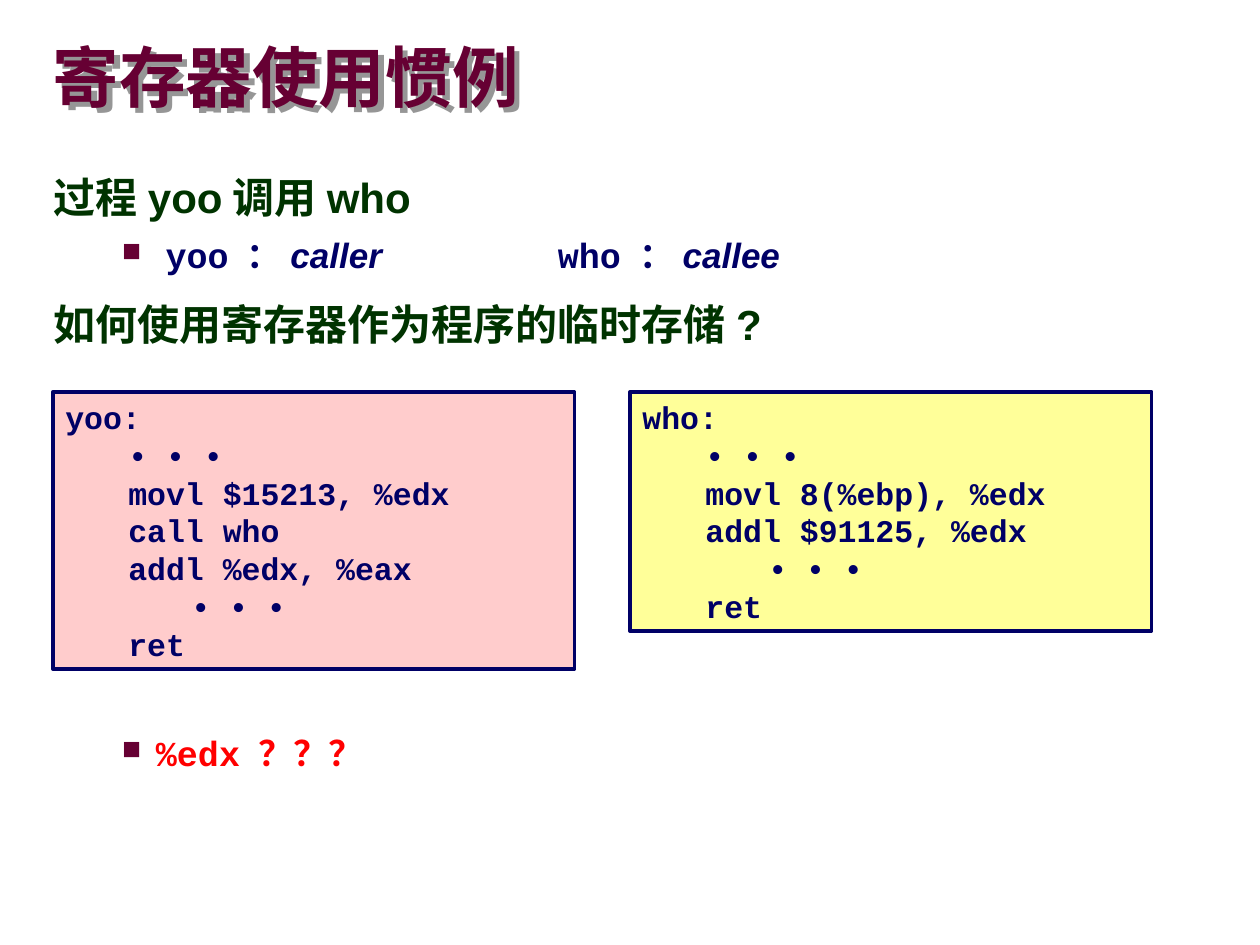
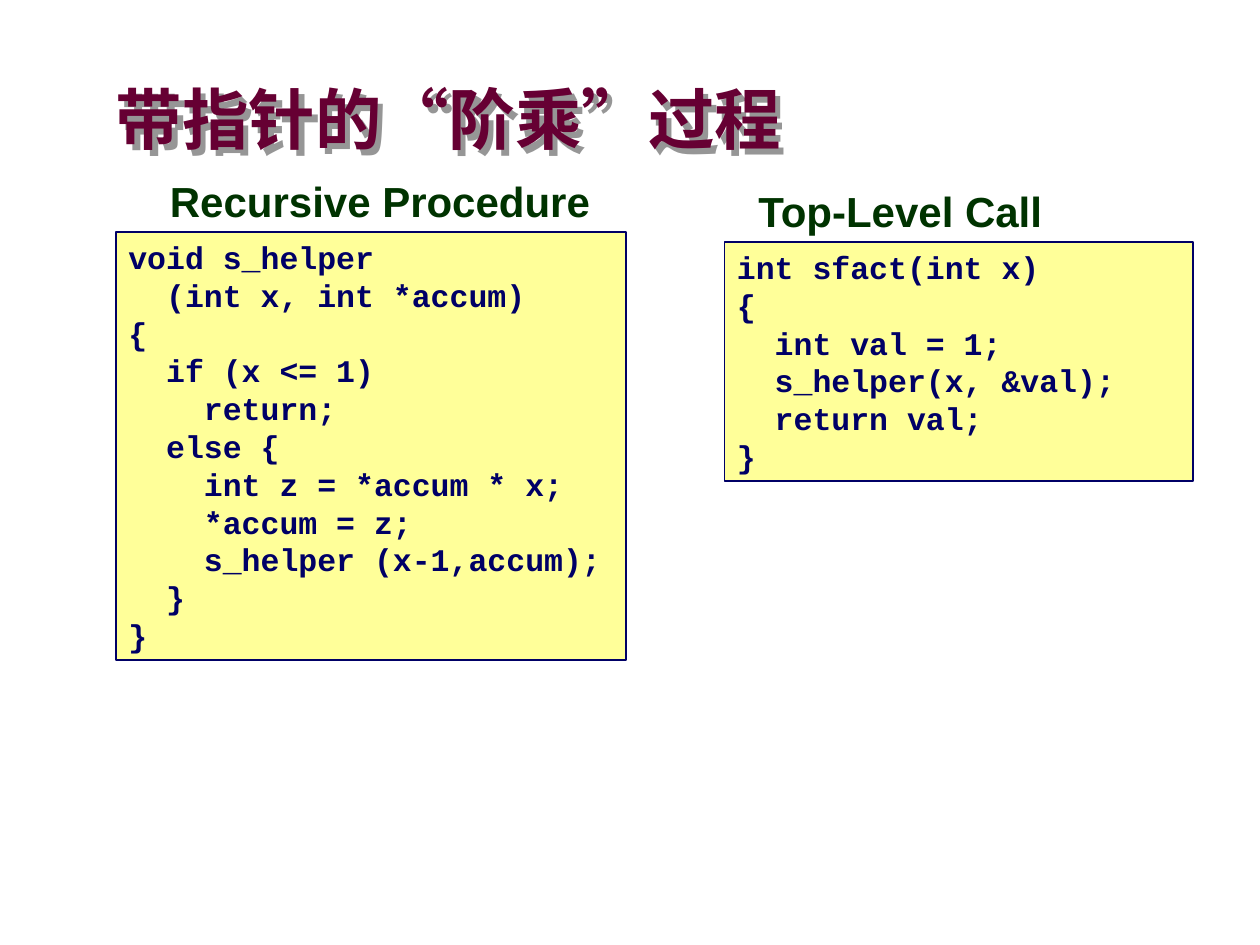
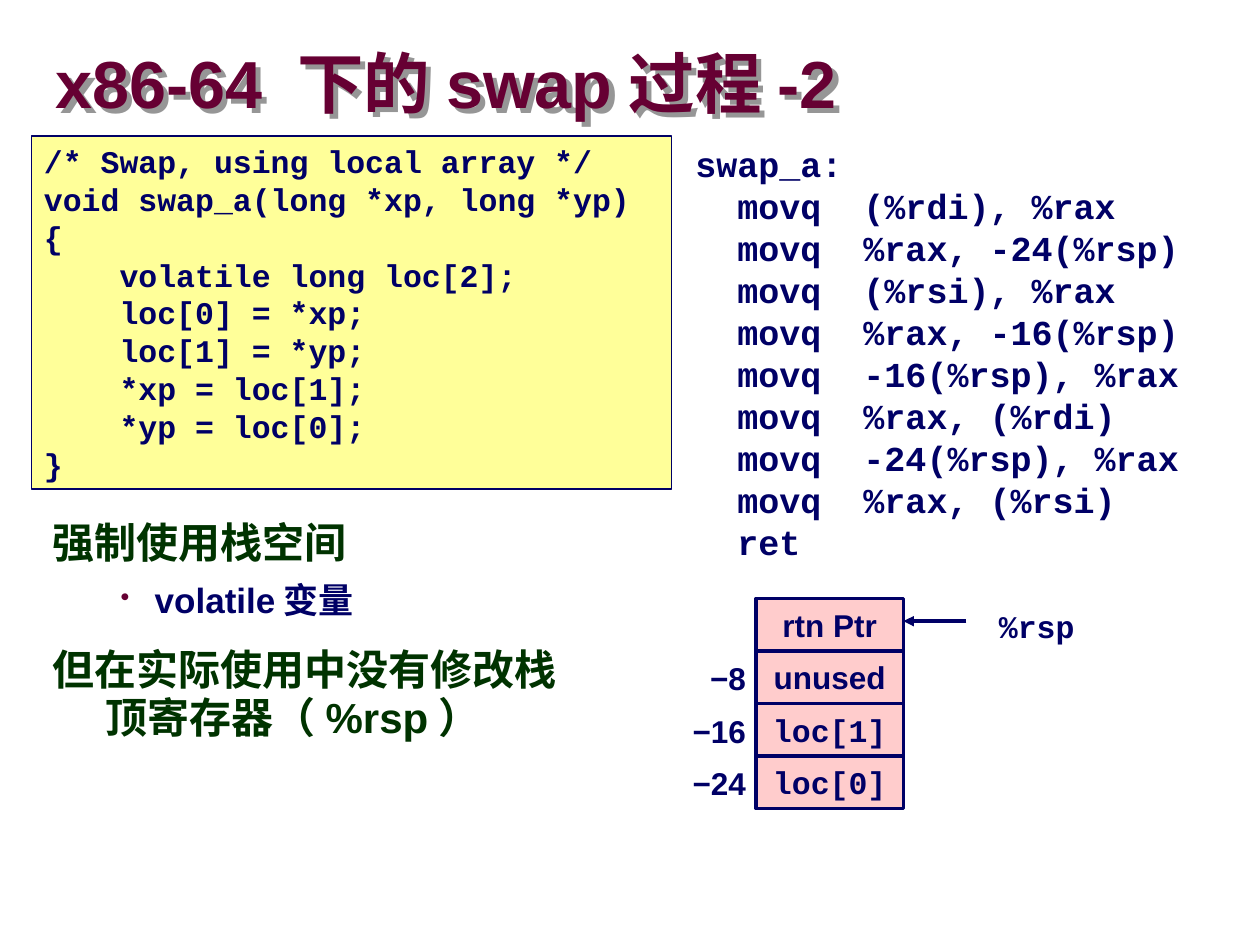
import pptx
import pptx.util
import pptx.dml.color
import pptx.enum.shapes
import pptx.enum.text
import pptx.oxml
import pptx.oxml.ns

Inches = pptx.util.Inches
Pt = pptx.util.Pt
RGBColor = pptx.dml.color.RGBColor
ALIGN = pptx.enum.text.PP_ALIGN
ANCHOR = pptx.enum.text.MSO_ANCHOR
RECT = pptx.enum.shapes.MSO_SHAPE.RECTANGLE
NS = pptx.oxml.ns.nsdecls("a")

WINE = RGBColor(0x66, 0x00, 0x33)
GREEN = RGBColor(0x00, 0x33, 0x00)
NAVY = RGBColor(0x00, 0x00, 0x66)
RED = RGBColor(0xFF, 0x00, 0x00)
PINK = RGBColor(0xFF, 0xCC, 0xCC)
CREAM = RGBColor(0xFF, 0xFF, 0x99)
GREY = RGBColor(0x96, 0x96, 0x96)

SANS = {"name": "Arial", "bold": True}
MONO = {"name": "Courier New", "bold": True}
TITLE = {**SANS, "size": Pt(38), "color": WINE}
HEAD = {**SANS, "size": Pt(24), "color": GREEN}
ITEM = {**SANS, "size": Pt(20), "color": NAVY}
CELL = {**SANS, "size": Pt(18), "color": NAVY}
CODE = {**MONO, "size": Pt(18), "color": NAVY}
TERM = {**ITEM, "italic": True}
ASM = {**ITEM, **MONO}
WARN = {**ASM, "color": RED}

# Paragraph formats: left margin and first-line indent in inches
TOP = {"left": 0.42, "first": -0.42, "line_spacing": 0.95}
NEXT = {**TOP, "space_before": Pt(15)}
SQUARE = {"left": 0.81, "first": -0.27, "bullet": "■", "space_before": Pt(6.2)}
DOT = {**SQUARE, "bullet": "•"}
LONE = {**SQUARE, "space_before": Pt(0)}
TABBED = {**SQUARE, "tabs": [3, 4]}


def put(slide, at, paras, fill=None, edge=1, inset=0.1, wrap=True, anchor=ANCHOR.TOP):
    """Add a text box, or a rectangle if filled; paras holds (format, runs) pairs."""
    spot = [Inches(v) for v in at]
    if fill is None:
        box = slide.shapes.add_textbox(*spot)
    else:
        box = slide.shapes.add_shape(RECT, *spot)
        box.shadow.inherit = False
        box.fill.solid()
        box.fill.fore_color.rgb = fill
        box.line.color.rgb = NAVY
        box.line.width = Pt(edge)
    frame = box.text_frame
    frame.word_wrap = wrap
    frame.vertical_anchor = anchor
    frame.margin_left = frame.margin_right = Inches(inset)
    frame.margin_top = frame.margin_bottom = Inches(min(inset, 0.05))
    for i, (form, runs) in enumerate(paras):
        para = frame.add_paragraph() if i else frame.paragraphs[0]
        props = para._p.get_or_add_pPr()
        props.set("marL", str(Inches(form.get("left", 0))))
        props.set("indent", str(Inches(form.get("first", 0))))
        if "bullet" in form:
            for tag in (f'<a:buClr {NS}><a:srgbClr val="{WINE}"/></a:buClr>',
                        f'<a:buSzPct {NS} val="75000"/>',
                        f'<a:buChar {NS} char="{form["bullet"]}"/>'):
                props.append(pptx.oxml.parse_xml(tag))
        if "tabs" in form:
            stops = "".join(f'<a:tab pos="{Inches(t)}" algn="l"/>' for t in form["tabs"])
            props.append(pptx.oxml.parse_xml(f"<a:tabLst {NS}>{stops}</a:tabLst>"))
        para.alignment = form.get("alignment", ALIGN.LEFT)
        for key in ("line_spacing", "space_before"):
            if key in form:
                setattr(para, key, form[key])
        for text, look in runs:
            run = para.add_run()
            run.text = text
            for key, value in look.items():
                if key == "color":
                    run.font.color.rgb = value
                else:
                    setattr(run.font, key, value)
    return box


def head(slide, at, text):
    """Add a title whose unfilled box casts a grey shadow from its text."""
    box = put(slide, at, [({"line_spacing": 0.87}, [(text, TITLE)])],
              inset=0, anchor=ANCHOR.MIDDLE)
    box.fill.background()
    box._element.spPr.append(pptx.oxml.parse_xml(
        f'<a:effectLst {NS}><a:outerShdw dist="{Inches(0.06)}" dir="2700000">'
        f'<a:srgbClr val="{GREY}"/></a:outerShdw></a:effectLst>'))


deck = pptx.Presentation()
deck.slide_width, deck.slide_height = Inches(10), Inches(7.5)
regs, fact, swap = [deck.slides.add_slide(deck.slide_layouts[6]) for _ in range(3)]

# Slide 1: register conventions
head(regs, (0.42, 0.33, 8.17, 0.63), "寄存器使用惯例")
put(regs, (0.33, 1.34, 9.06, 1.6), [
    (TOP, [("过程yoo调用who", HEAD)]),
    (TABBED, [(" ", ITEM), ("yoo", ASM), (" ：", ITEM), ("caller\t\t", TERM),
              ("who", ASM), (" ：", ITEM), ("callee", TERM)]),
    (NEXT, [("如何使用寄存器作为程序的临时存储?", HEAD)]),
])
put(regs, (0.33, 5.76, 9.06, 0.5),
    [(LONE, [("%edx", WARN), (" ？？？", {**WARN, **SANS})])])

DOTS = "• • •"
yoo = [(0, "yoo:"), (0.5, DOTS), (0.5, "movl $15213, %edx"), (0.5, "call who"),
       (0.5, "addl %edx, %eax"), (1, DOTS), (0.5, "ret")]
who = [(0, "who:"), (0.5, DOTS), (0.5, "movl 8(%ebp), %edx"),
       (0.5, "addl $91125, %edx"), (1, DOTS), (0.5, "ret")]
for x, rows, fill in ((0.42, yoo, PINK), (5, who, CREAM)):
    put(regs, (x, 3.11, 4.14, 0.1 + 0.3 * len(rows)),
        [({"left": left}, [(text, CODE)]) for left, text in rows], fill, 2)

# Slide 2: factorial with a pointer
head(fact, (0.92, 0.67, 5.71, 0.63), "带指针的“阶乘”过程")
HELPER = """void s_helper
  (int x, int *accum)
{
  if (x <= 1)
    return;
  else {
    int z = *accum * x;
    *accum = z;
    s_helper (x-1,accum);
  }
}"""
SFACT = """int sfact(int x)
{
  int val = 1;
  s_helper(x, &val);
  return val;
}"""
SWAP = """/* Swap, using local array */
void swap_a(long *xp, long *yp) {
    volatile long loc[2];
    loc[0] = *xp;
    loc[1] = *yp;
    *xp = loc[1];
    *yp = loc[0];
}"""
LIST = """swap_a:
  movq  (%rdi), %rax
  movq  %rax, -24(%rsp)
  movq  (%rsi), %rax
  movq  %rax, -16(%rsp)
  movq  -16(%rsp), %rax
  movq  %rax, (%rdi)
  movq  -24(%rsp), %rax
  movq  %rax, (%rsi)
  ret"""
for slide, at, code, look, fill in (
        (fact, (0.92, 1.84, 4.05, 3.4), HELPER, CODE, CREAM),
        (fact, (5.75, 1.92, 3.72, 1.9), SFACT, CODE, CREAM),
        (swap, (0.25, 1.08, 5.08, 2.8), SWAP, CODE, CREAM),
        (swap, (5.42, 1.08, 4.33, 3.43), LIST, ASM, None)):
    put(slide, at, [({}, [(row, look)]) for row in code.split("\n")], fill)
for at, text in (((5.92, 1.42, 2.6, 0.5), "Top-Level Call"),
                 ((1.25, 1.34, 3.65, 0.5), "Recursive Procedure")):
    put(fact, at, [({}, [(text, HEAD)])])

# Slide 3: swap on x86-64
head(swap, (0.44, 0.27, 9.53, 0.85), "x86-64 下的swap过程-2")
put(swap, (0.32, 4.08, 4.43, 2.96), [
    (TOP, [("强制使用栈空间", HEAD)]),
    (DOT, [("volatile变量", ITEM)]),
    (NEXT, [("但在实际使用中没有修改栈顶寄存器（%rsp）", HEAD)]),
])
STEP = 1.25 / 3
stack = [("rtn Ptr", CELL, ""), ("unused", CELL, "−8"),
         ("loc[1]", CODE, "−16"), ("loc[0]", CODE, "−24")]
for i, (name, look, shift) in enumerate(stack):
    y = 4.75 + i * STEP
    put(swap, (6, y, 1.17, STEP), [({"alignment": ALIGN.CENTER}, [(name, look)])],
        PINK, 2, wrap=False, anchor=ANCHOR.MIDDLE)
    if shift:
        put(swap, (5.17, y + 0.05, 0.8, 0.37),
            [({"alignment": ALIGN.RIGHT, "line_spacing": 0.9}, [(shift, CELL)])],
            inset=0.05)
put(swap, (7.83, 4.77, 0.8, 0.4), [({}, [("%rsp", CODE)])], wrap=False)
arrow = swap.shapes.add_connector(pptx.enum.shapes.MSO_CONNECTOR.STRAIGHT,
                                  Inches(7.67), Inches(4.93), Inches(7.17), Inches(4.93))
arrow.line.color.rgb = NAVY
arrow.line.width = Pt(2)
arrow.line._get_or_add_ln().append(
    pptx.oxml.parse_xml(f'<a:tailEnd {NS} type="triangle"/>'))
arrow._element.spPr.append(pptx.oxml.parse_xml(f"<a:effectLst {NS}/>"))

deck.save("out.pptx")
